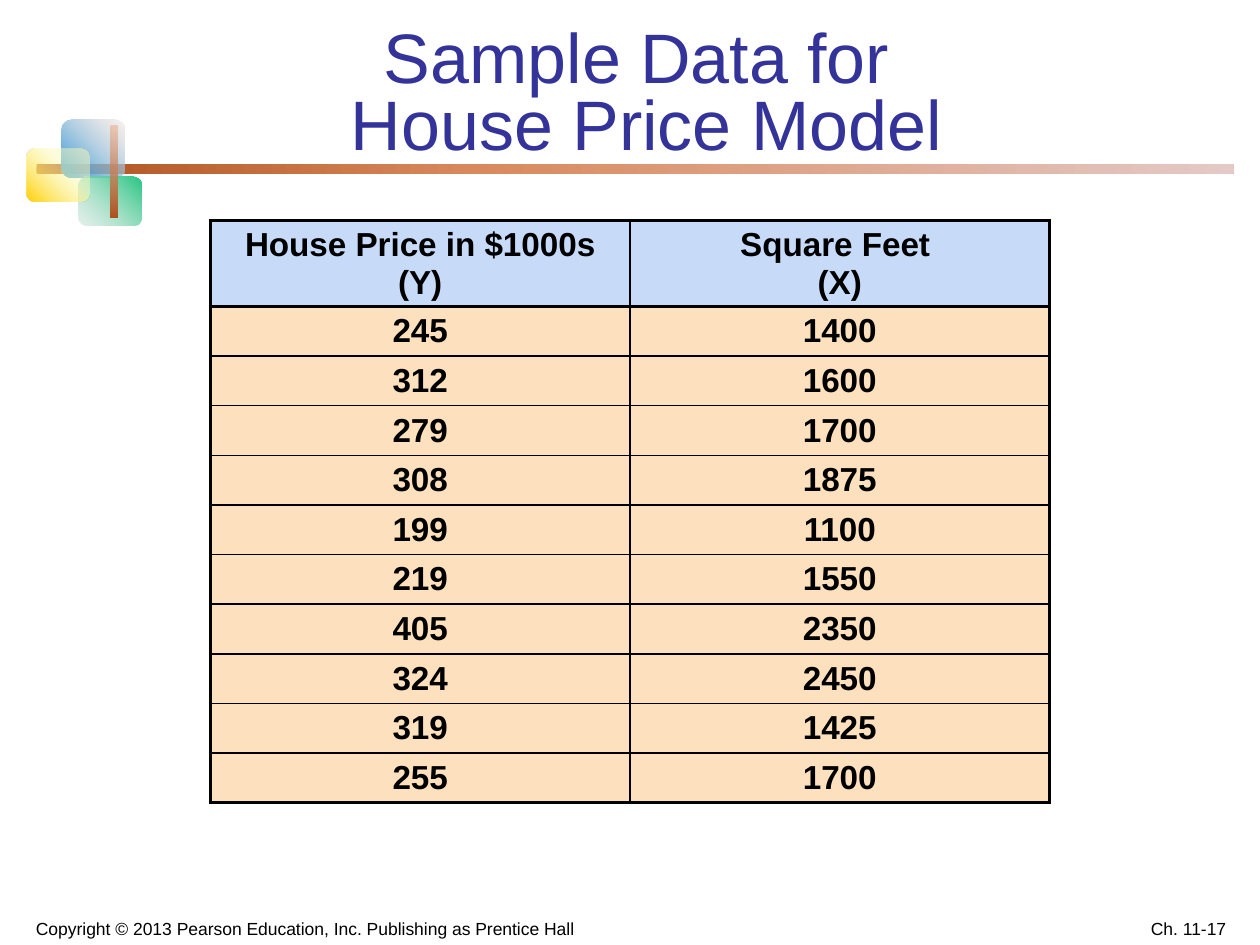
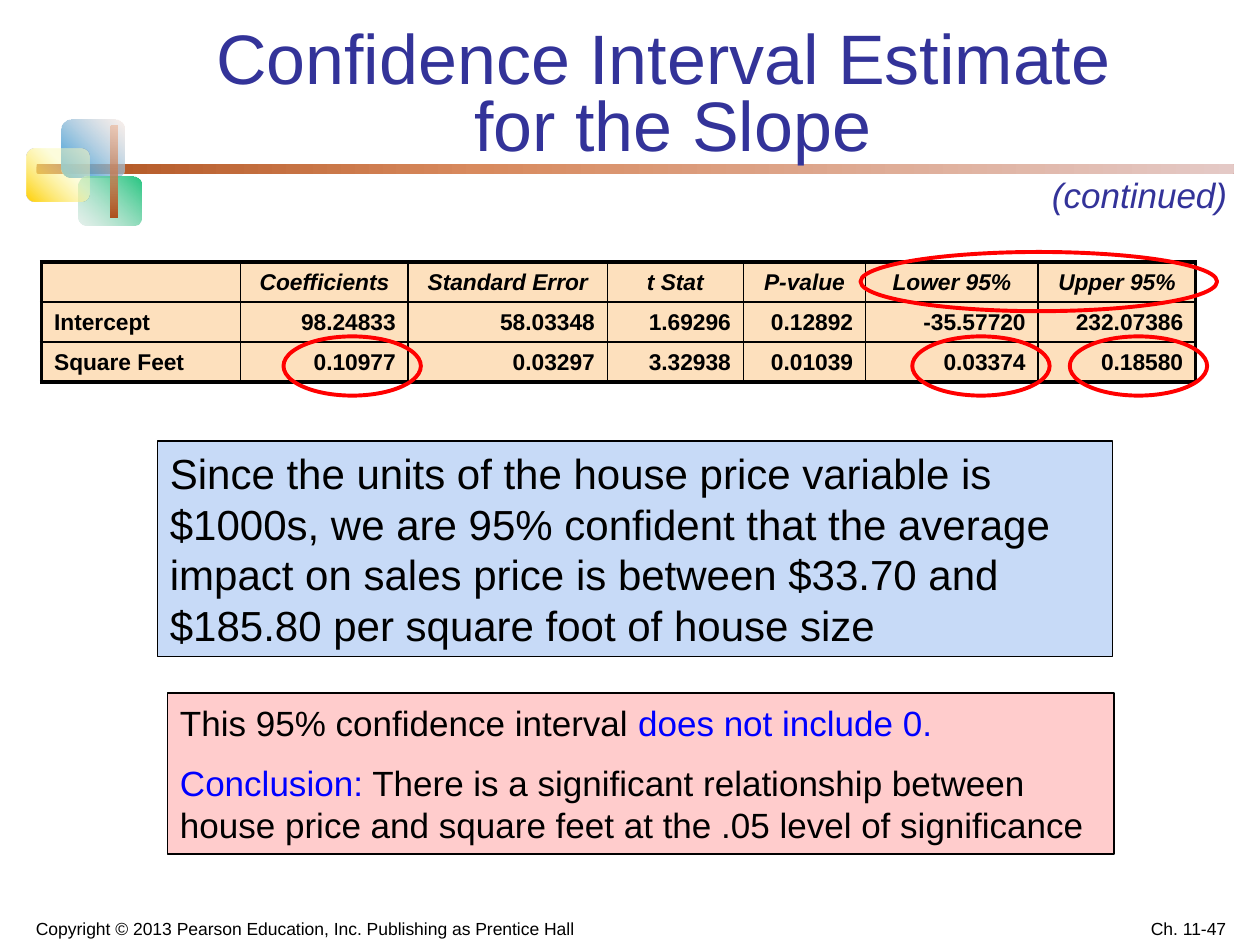
import pptx
import pptx.dml.color
import pptx.enum.shapes
import pptx.enum.text
import pptx.oxml
import pptx.oxml.ns
import pptx.util

Inches = pptx.util.Inches
Pt = pptx.util.Pt
RGBColor = pptx.dml.color.RGBColor
MSO_SHAPE = pptx.enum.shapes.MSO_SHAPE
ANCHOR = pptx.enum.text.MSO_ANCHOR
ALIGN = pptx.enum.text.PP_ALIGN

FONT = "Arial"
BLACK = RGBColor(0x00, 0x00, 0x00)
NAVY = RGBColor(0x33, 0x33, 0x99)
BLUE = RGBColor(0x00, 0x00, 0xFF)
RED = RGBColor(0xFF, 0x00, 0x00)
PALE_BLUE = RGBColor(0xC7, 0xDA, 0xF7)
PEACH = RGBColor(0xFD, 0xE0, 0xBD)
PINK = RGBColor(0xFF, 0xCC, 0xCC)
RUST = RGBColor(0xAE, 0x51, 0x1E)

THICK, THIN = 2.25, 1
COPYRIGHT = "Copyright © 2013 Pearson Education, Inc. Publishing as Prentice Hall"

BRAND_BARS = [
    ((0.29, 1.3, 9.5, 0.08), 0,
     [(0, RUST, 100), (37, RGBColor(0xD8, 0x8A, 0x5E), 100), (100, RGBColor(0xE4, 0xC9, 0xC6), 100)]),
    ((0.49, 0.95, 0.5, 0.46), 315,
     [(0, RGBColor(0x28, 0x95, 0xD8), 100), (100, RGBColor(0xF7, 0xE2, 0xD9), 50)]),
    ((0.62, 1.4, 0.5, 0.39), 135,
     [(0, RGBColor(0x25, 0xC5, 0x80), 100), (100, RGBColor(0xCC, 0xE2, 0xD9), 50)]),
    ((0.21, 1.18, 0.5, 0.42), 315,
     [(0, RGBColor(0xFF, 0xCF, 0x01), 100), (63, RGBColor(0xFC, 0xFC, 0xBC), 50)]),
    ((0.88, 1, 0.05, 0.73), 270,
     [(0, RUST, 100), (100, RGBColor(0xEA, 0xA7, 0x82), 50)]),
]

HOUSES = [(245, 1400), (312, 1600), (279, 1700), (308, 1875), (199, 1100),
          (219, 1550), (405, 2350), (324, 2450), (319, 1425), (255, 1700)]

REGRESSION = [
    ["", "Coefficients", "Standard Error", "t Stat", "P-value", "Lower 95%", "Upper 95%"],
    ["Intercept", "98.24833", "58.03348", "1.69296", "0.12892", "-35.57720", "232.07386"],
    ["Square Feet", "0.10977", "0.03297", "3.32938", "0.01039", "0.03374", "0.18580"],
]


def set_font(font, size, color=BLACK, bold=False, italic=False):
    font.name = FONT
    font.size = Pt(size)
    font.color.rgb = color
    font.bold = bold
    font.italic = italic


def add_shape(s, kind, at, fill=None, line=None, width=THIN):
    sp = s.shapes.add_shape(kind, *map(Inches, at))
    sp.shadow.inherit = False
    if fill is None:
        sp.fill.background()
    else:
        sp.fill.solid()
        sp.fill.fore_color.rgb = fill
    sp.line.color.rgb = line
    sp.line.width = Pt(width)
    return sp


def add_gradient_bar(s, at, angle, stops):
    sp = s.shapes.add_shape(MSO_SHAPE.ROUNDED_RECTANGLE, *map(Inches, at))
    sp.shadow.inherit = False
    sp.line.fill.background()
    gs = "".join(
        f'<a:gs pos="{pos * 1000}"><a:srgbClr val="{color}"><a:alpha val="{alpha * 1000}"/>'
        "</a:srgbClr></a:gs>" for pos, color, alpha in stops)
    grad = pptx.oxml.parse_xml(
        f'<a:gradFill {pptx.oxml.ns.nsdecls("a")} rotWithShape="1"><a:gsLst>{gs}</a:gsLst>'
        f'<a:lin ang="{angle * 60000}" scaled="0"/></a:gradFill>')
    sp.element.spPr.insert(2, grad)


def add_text(s, at, text, size, color=BLACK, align=ALIGN.LEFT, anchor=ANCHOR.BOTTOM,
             italic=False, wrap=True, spacing=None):
    tf = s.shapes.add_textbox(*map(Inches, at)).text_frame
    tf.word_wrap = wrap
    tf.vertical_anchor = anchor
    p = tf.paragraphs[0]
    p.text = text
    p.alignment = align
    p.line_spacing = spacing
    set_font(p.font, size, color, italic=italic)


def add_note(s, at, fill, size, paragraphs):
    tf = add_shape(s, MSO_SHAPE.RECTANGLE, at, fill, BLACK).text_frame
    tf.word_wrap = True
    tf.vertical_anchor = ANCHOR.MIDDLE
    for i, runs in enumerate(paragraphs):
        p = tf.add_paragraph() if i else tf.paragraphs[0]
        p.alignment = ALIGN.LEFT
        if i:
            p.space_before = Pt(size / 2)
        set_font(p.font, size)
        for text, color in runs:
            r = p.add_run()
            r.text = text
            r.font.color.rgb = color


def add_ring(s, at):
    add_shape(s, MSO_SHAPE.OVAL, at, line=RED, width=THICK)


def set_borders(cell, **widths):
    tcPr = cell._tc.get_or_add_tcPr()
    for side in "LRTB":
        tcPr.append(pptx.oxml.parse_xml(
            f'<a:ln{side} {pptx.oxml.ns.nsdecls("a")} w="{Pt(widths[side])}">'
            f'<a:solidFill><a:srgbClr val="{BLACK}"/></a:solidFill></a:ln{side}>'))


def add_grid(s, left, top, col_widths, row_heights, header_rule=THIN):
    n_rows, n_cols = len(row_heights), len(col_widths)
    table = s.shapes.add_table(
        n_rows, n_cols, Inches(left), Inches(top),
        Inches(sum(col_widths)), Inches(sum(row_heights))).table
    table.first_row = table.horz_banding = False
    for column, width in zip(table.columns, col_widths):
        column.width = Inches(width)
    for row, height in zip(table.rows, row_heights):
        row.height = Inches(height)
    rules = [THICK, header_rule] + [THIN] * (n_rows - 2) + [THICK]
    for i in range(n_rows):
        for j in range(n_cols):
            cell = table.cell(i, j)
            set_borders(cell, L=THIN if j else THICK, R=THIN if j < n_cols - 1 else THICK,
                        T=rules[i], B=rules[i + 1])
            cell.fill.solid()
            cell.fill.fore_color.rgb = PEACH
    return table


def fill_cell(cell, lines, size, align, anchor, italic=False):
    cell.vertical_anchor = anchor
    for i, line in enumerate(lines):
        tf = cell.text_frame
        p = tf.add_paragraph() if i else tf.paragraphs[0]
        p.text = line
        p.alignment = align
        if i:
            p.line_spacing = 0.8
            p.space_before = Pt(size / 5)
        set_font(p.font, size, bold=True, italic=italic)


def add_house_table(s):
    header_height, total_height = 0.68, 4.62
    body_height = (total_height - header_height) / len(HOUSES)
    table = add_grid(s, 1.67, 1.75, [3.33] * 2,
                     [header_height] + [body_height] * len(HOUSES), THICK)
    rows = [(("House Price in $1000s", "(Y)"), ("Square Feet ", "(X)"))]
    rows += [((str(price),), (str(area),)) for price, area in HOUSES]
    for i, row in enumerate(rows):
        for j, lines in enumerate(row):
            cell = table.cell(i, j)
            cell.margin_top = cell.margin_bottom = Inches(0.03)
            fill_cell(cell, lines, 19, ALIGN.CENTER, ANCHOR.MIDDLE)
            if i == 0:
                cell.fill.fore_color.rgb = PALE_BLUE


def add_regression_table(s):
    table = add_grid(s, 0.33, 2.08, [1.58, 1.33, 1.58, 1.08, 0.97, 1.37, 1.25],
                     [0.95 / 3] * 3)
    for i, row in enumerate(REGRESSION):
        for j, text in enumerate(row):
            align = ALIGN.LEFT if j == 0 else ALIGN.RIGHT if i else ALIGN.CENTER
            fill_cell(table.cell(i, j), [text], 13, align, ANCHOR.BOTTOM, italic=i == 0)


def add_slide(prs, title, title_at, page):
    s = prs.slides.add_slide(prs.slide_layouts[6])
    for at, angle, stops in BRAND_BARS:
        add_gradient_bar(s, at, angle, stops)
    add_text(s, title_at, title, 40, NAVY, ALIGN.CENTER, spacing=0.8)
    add_text(s, (0, 7.15, 4.84, 0.35), COPYRIGHT, 10, align=ALIGN.CENTER)
    add_text(s, (7.5, 7.15, 2.33, 0.35), f"Ch. 11-{page}", 10, align=ALIGN.RIGHT)
    return s


def build_sample_data(prs):
    s = add_slide(prs, "Sample Data for \vHouse Price Model", (1.26, 0.27, 7.74, 1.08), 17)
    add_house_table(s)


def build_slope_interval(prs):
    s = add_slide(prs, "Confidence Interval Estimate \vfor the Slope",
                  (1.08, 0.19, 8.52, 1.17), 47)
    add_note(s, (1.25, 3.5, 7.58, 1.71), PALE_BLUE, 24, [[(
        "Since the units of the house price variable is $1000s, we are 95% confident that "
        "the average impact on sales price is between $33.70 and $185.80 per square foot "
        "of house size", BLACK)]])
    add_regression_table(s)
    add_ring(s, (6.83, 2, 2.83, 0.47))
    for left in (2.25, 7.24, 8.49):
        add_ring(s, (left, 2.67, 1.09, 0.47))
    add_note(s, (1.33, 5.5, 7.51, 1.28), PINK, 20, [
        [("This 95% confidence interval ", BLACK), ("does not include 0.", BLUE)],
        [("Conclusion:", BLUE),
         (" There is a significant relationship between house price and square feet "
          "at the .05 level of significance", BLACK)]])
    add_text(s, (8.25, 1.33, 1.61, 0.43), "(continued)", 20, NAVY,
             anchor=ANCHOR.TOP, italic=True, wrap=False)


def main():
    prs = pptx.Presentation()
    prs.slide_width, prs.slide_height = Inches(10), Inches(7.5)
    build_sample_data(prs)
    build_slope_interval(prs)
    prs.save("out.pptx")


if __name__ == "__main__":
    main()
